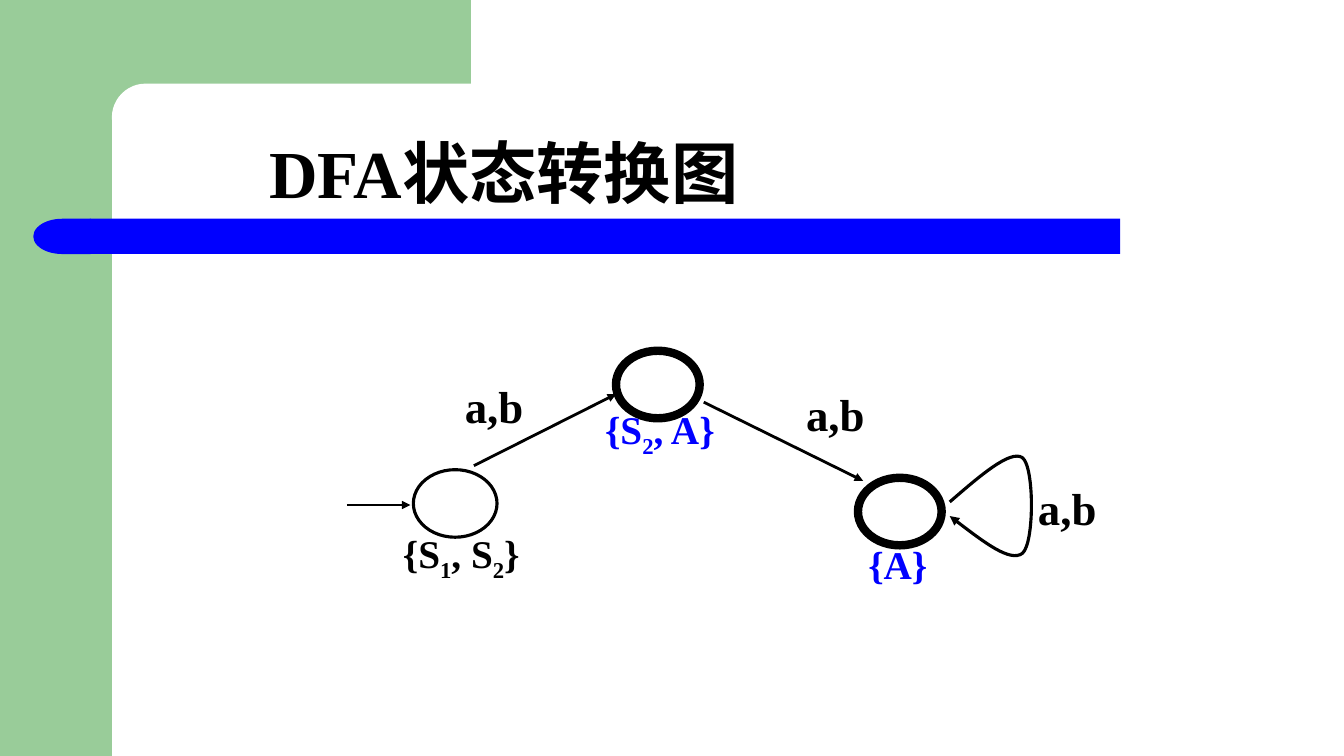
"""Build a slide with the state transition diagram of a DFA."""
from lxml.etree import SubElement
from pptx import Presentation
from pptx.dml.color import RGBColor
from pptx.enum.shapes import MSO_CONNECTOR, MSO_SHAPE
from pptx.enum.text import MSO_ANCHOR, MSO_AUTO_SIZE, PP_ALIGN
from pptx.oxml.ns import qn
from pptx.util import Pt

PX = 9144
FONT = "Times New Roman"
BLACK = RGBColor(0x00, 0x00, 0x00)
WHITE = RGBColor(0xFF, 0xFF, 0xFF)
BLUE = RGBColor(0x00, 0x00, 0xFF)
GREEN = RGBColor(0x99, 0xCC, 0x99)

SLIDE_SIZE = (1333, 750)
TITLE = "DFA状态转换图"
TITLE_BOX = (257, 91, 875, 125)
DECOR = [
    (MSO_SHAPE.RECTANGLE, (0, 0, 111, 750), GREEN),
    (MSO_SHAPE.RECTANGLE, (100, 0, 367, 117), GREEN),
    (MSO_SHAPE.ROUNDED_RECTANGLE, (111, 83, 744, 67), WHITE),
    (MSO_SHAPE.RECTANGLE, (89, 217, 1022, 35), BLUE),
]
BAR_CAP = (MSO_SHAPE.FLOWCHART_DELAY, (33, 217, 57, 35), BLUE)

STATE_SIZE = (83, 67)
STATE_NAME_SIZE = (149, 47)
STATES = [
    ((410, 466), 2.25, BLACK, (383, 528), ["{S", "1", ", S", "2", "}"]),
    ((611, 348), 6, BLUE, (580, 405), ["{S", "2", ", A}"]),
    ((851, 474), 6, BLUE, (816, 536), ["{A}"]),
]
ARROWS = [
    ((344, 501), (407, 501)),
    ((470, 462), (611, 391)),
    ((698, 399), (856, 477)),
]
LOOP_START = (942, 498)
LOOP_CURVES = [
    (972, 472), (1002, 446), (1014, 454),
    (1026, 463), (1026, 539), (1014, 549),
    (1002, 558), (972, 535), (942, 512),
]
INPUT = "a,b"
INPUT_BOXES = [(454, 375, 72, 54), (793, 383, 71, 54), (1021, 477, 75, 54)]


def emu(lengths):
    return [length * PX for length in lengths]


def add_filled(shapes, kind, box, color):
    shape = shapes.add_shape(kind, *emu(box))
    shape.shadow.inherit = False
    shape.fill.solid()
    shape.fill.fore_color.rgb = color
    shape.line.fill.background()
    return shape


def draw_outline(shape, width):
    shape.shadow.inherit = False
    shape.fill.background()
    shape.line.color.rgb = BLACK
    shape.line.width = Pt(width)


def add_arrowhead(shape):
    outline = shape._element.spPr.find(qn("a:ln"))
    SubElement(outline, qn("a:tailEnd"), type="triangle")


def add_run(paragraph, text, size, color):
    run = paragraph.add_run()
    run.text = text
    run.font.name = FONT
    run.font.size = Pt(size)
    run.font.bold = True
    run.font.color.rgb = color
    return run


def add_label(shapes, box, parts, size, color):
    """Add a centred label whose every second part is a subscript."""
    frame = shapes.add_textbox(*emu(box)).text_frame
    frame.word_wrap = True
    frame.auto_size = MSO_AUTO_SIZE.SHAPE_TO_FIT_TEXT
    frame.vertical_anchor = MSO_ANCHOR.MIDDLE
    frame.margin_left = frame.margin_right = 0
    frame.margin_top = frame.margin_bottom = 0
    paragraph = frame.paragraphs[0]
    paragraph.alignment = PP_ALIGN.CENTER
    for index, part in enumerate(parts):
        run = add_run(paragraph, part, size, color)
        if index % 2:
            run.font._element.set("baseline", "-25000")


def add_title(shapes):
    frame = shapes.add_textbox(*emu(TITLE_BOX)).text_frame
    frame.word_wrap = True
    frame.vertical_anchor = MSO_ANCHOR.BOTTOM
    paragraph = frame.paragraphs[0]
    paragraph.line_spacing = 0.9
    add_run(paragraph, TITLE, 48, BLACK)


def add_arrow(shapes, start, end):
    arrow = shapes.add_connector(MSO_CONNECTOR.STRAIGHT, *emu(start + end))
    arrow.line.color.rgb = BLACK
    arrow.line.width = Pt(2)
    add_arrowhead(arrow)
    SubElement(arrow._element.spPr, qn("a:effectLst"))


def add_loop(shapes):
    """Draw the self-loop, turning each three points into one Bezier curve."""
    builder = shapes.build_freeform(*LOOP_START, scale=PX)
    builder.add_line_segments(LOOP_CURVES, close=False)
    loop = builder.convert_to_shape()
    outline = next(loop._element.iter(qn("a:path")))
    segments = outline.findall(qn("a:lnTo"))
    for first in range(0, len(segments), 3):
        curve = SubElement(outline, qn("a:cubicBezTo"))
        for segment in segments[first:first + 3]:
            curve.append(segment[0])
            outline.remove(segment)
    draw_outline(loop, 2.25)
    add_arrowhead(loop)


def main():
    deck = Presentation()
    deck.slide_width, deck.slide_height = emu(SLIDE_SIZE)
    shapes = deck.slides.add_slide(deck.slide_layouts[6]).shapes

    for kind, box, color in DECOR:
        panel = add_filled(shapes, kind, box, color)
        if kind == MSO_SHAPE.ROUNDED_RECTANGLE:
            panel.adjustments[0] = 0.5
    add_filled(shapes, *BAR_CAP).rotation = 180
    add_title(shapes)

    for corner, width, color, name_corner, name in STATES:
        state = shapes.add_shape(MSO_SHAPE.OVAL, *emu(corner + STATE_SIZE))
        draw_outline(state, width)
        add_label(shapes, name_corner + STATE_NAME_SIZE, name, 28, color)
    for start, end in ARROWS:
        add_arrow(shapes, start, end)
    add_loop(shapes)
    for box in INPUT_BOXES:
        add_label(shapes, box, [INPUT], 32, BLACK)

    deck.save("out.pptx")


if __name__ == "__main__":
    main()
